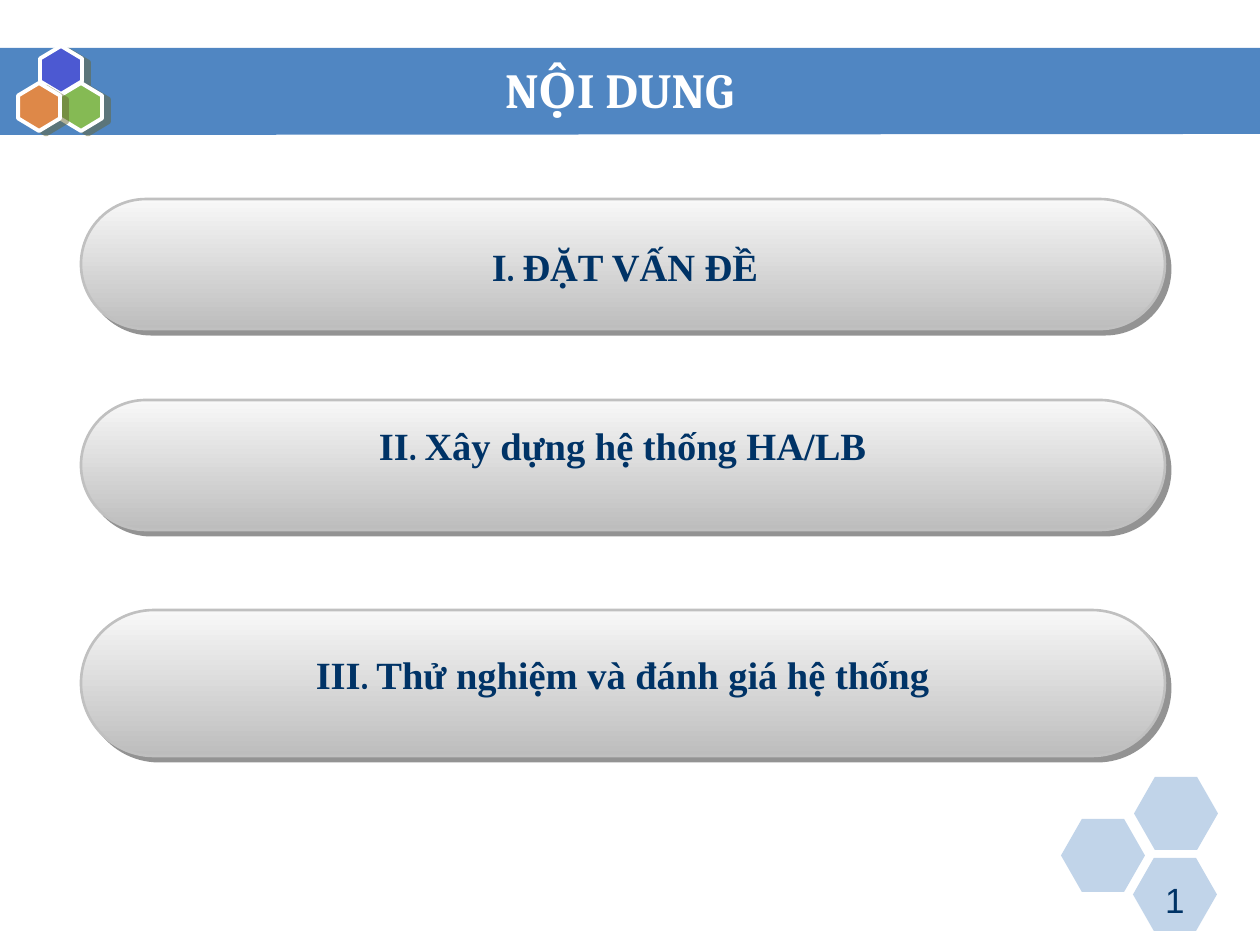
from pptx import Presentation
from pptx import util as u
from pptx.dml.color import RGBColor
from pptx.enum import shapes, text
from pptx.oxml.ns import qn
from lxml import etree

# Content
TITLE = "NỘI DUNG"
PAGE = "1"
# pill top, pill height, text box (left, top, width), numeral, heading
ITEMS = [
    (199, 130, (473, 237, 304), "I", "ĐẶT VẤN ĐỀ"),
    (400, 130, (165, 416, 915), "II", "Xây dựng hệ thống HA/LB"),
    (610, 146, (149, 645, 947), "III", "Thử nghiệm và đánh giá hệ thống"),
]
PILL_LEFT, PILL_W, LABEL_H = 81, 1084, 59
BAND = [(-1, 48), (1260, 48), (1260, 134), (-1, 135)]
CORNER_HEXES = [(1061, 819), (1134, 777), (1133, 858)]
BADGE_HEXES = [(37, 49, "violet"), (57, 86, "green"), (15, 86, "orange")]

C = {"band": "5086C2", "violet": "4C59D2", "green": "85BA54", "orange": "DE8848",
     "white": "FFFFFF", "navy": "003366", "olive": "666633", "shade": "292929",
     "edge": "C0C0C0", "light": "F8F8F8", "dark": "BDBDBD"}
SERIF, HEAD, SANS = "Times New Roman", "Cambria", "Arial"
PX = u.Inches(1) // 126


def px(*values):
    return [u.Emu(v * PX) for v in values]


def rgb(name):
    return RGBColor.from_string(C[name])


def add_alpha(color_el, percent):
    etree.SubElement(color_el, qn("a:alpha")).set("val", str(percent * 1000))


def add_shape(kind, box, fill=None, line=None, width=0):
    sp = s.shapes.add_shape(kind, *px(*box))
    sp.shadow.inherit = False
    if fill:
        sp.fill.solid()
        sp.fill.fore_color.rgb = rgb(fill)
    if line:
        sp.line.color.rgb = rgb(line)
        sp.line.width = u.Pt(width)
    else:
        sp.line.fill.background()
    return sp


def add_shadow(sp, color, dist, angle):
    effects = sp.element.spPr.find(qn("a:effectLst"))
    shadow = etree.SubElement(effects, qn("a:outerShdw"), dist=str(u.Pt(dist)),
                              dir=str(angle * 60000), algn="ctr", rotWithShape="0")
    clr = etree.SubElement(shadow, qn("a:srgbClr"), val=C[color])
    add_alpha(clr, 50)


def write(sp, runs, color, align, bold=True, anchor=text.MSO_ANCHOR.TOP):
    tf = sp.text_frame
    tf.word_wrap = True
    tf.vertical_anchor = anchor
    p = tf.paragraphs[0]
    p.alignment = align
    for words, size, font in runs:
        r = p.add_run()
        r.text = words
        r.font.size = u.Pt(size)
        r.font.name = font
        r.font.bold = bold
        r.font.color.rgb = rgb(color)


prs = Presentation()
prs.slide_width, prs.slide_height = px(1260, 945)
s = prs.slides.add_slide(prs.slide_layouts[5])

# Title band
builder = s.shapes.build_freeform(*BAND[0], scale=PX)
builder.add_line_segments(BAND[1:], close=True)
band = builder.convert_to_shape()
band.shadow.inherit = False
band.fill.solid()
band.fill.fore_color.rgb = rgb("band")
band.line.fill.background()

# Corner hexagons
for left, top in CORNER_HEXES:
    sp = add_shape(shapes.MSO_SHAPE.HEXAGON, (left, top, 84, 73), "band")
    sp.adjustments[0] = 0.286
    add_alpha(sp.element.spPr.find(qn("a:solidFill"))[0], 35)

# Hexagon badge on the band
for left, top, color in BADGE_HEXES:
    sp = add_shape(shapes.MSO_SHAPE.HEXAGON, (left, top, 48, 42), color, "white", 2.25)
    sp.adjustments[0] = 0.3
    sp.rotation = 90
    add_shadow(sp, "olive", 4.5, 27)

# Page number
write(s.shapes.add_textbox(*px(1134, 872, 63, 32)), [(PAGE, 20, SANS)],
      "navy", text.PP_ALIGN.RIGHT, bold=False)

# Title, in front of the band
title = s.shapes.title
title.left, title.top, title.width, title.height = px(105, 53, 1029, 72)
write(title, [(TITLE, 28, HEAD)], "white", text.PP_ALIGN.CENTER,
      anchor=text.MSO_ANCHOR.MIDDLE)
band.element.addnext(title.element)

# Agenda pills with their headings
for top, height, (left, label_top, width), numeral, heading in ITEMS:
    pill = add_shape(shapes.MSO_SHAPE.ROUNDED_RECTANGLE, (PILL_LEFT, top, PILL_W, height),
                     line="edge", width=1.5)
    pill.adjustments[0] = 0.5
    pill.fill.gradient()
    pill.fill.gradient_angle = 270
    for stop, color in zip(pill.fill.gradient_stops, ("light", "dark")):
        stop.color.rgb = rgb(color)
    add_shadow(pill, "shade", 4.2, 45)
    label = s.shapes.add_textbox(*px(left, label_top, width, LABEL_H))
    write(label, [(numeral, 22, SERIF), (". ", 20, HEAD), (heading, 22, SERIF)],
          "navy", text.PP_ALIGN.CENTER)

prs.save("out.pptx")
